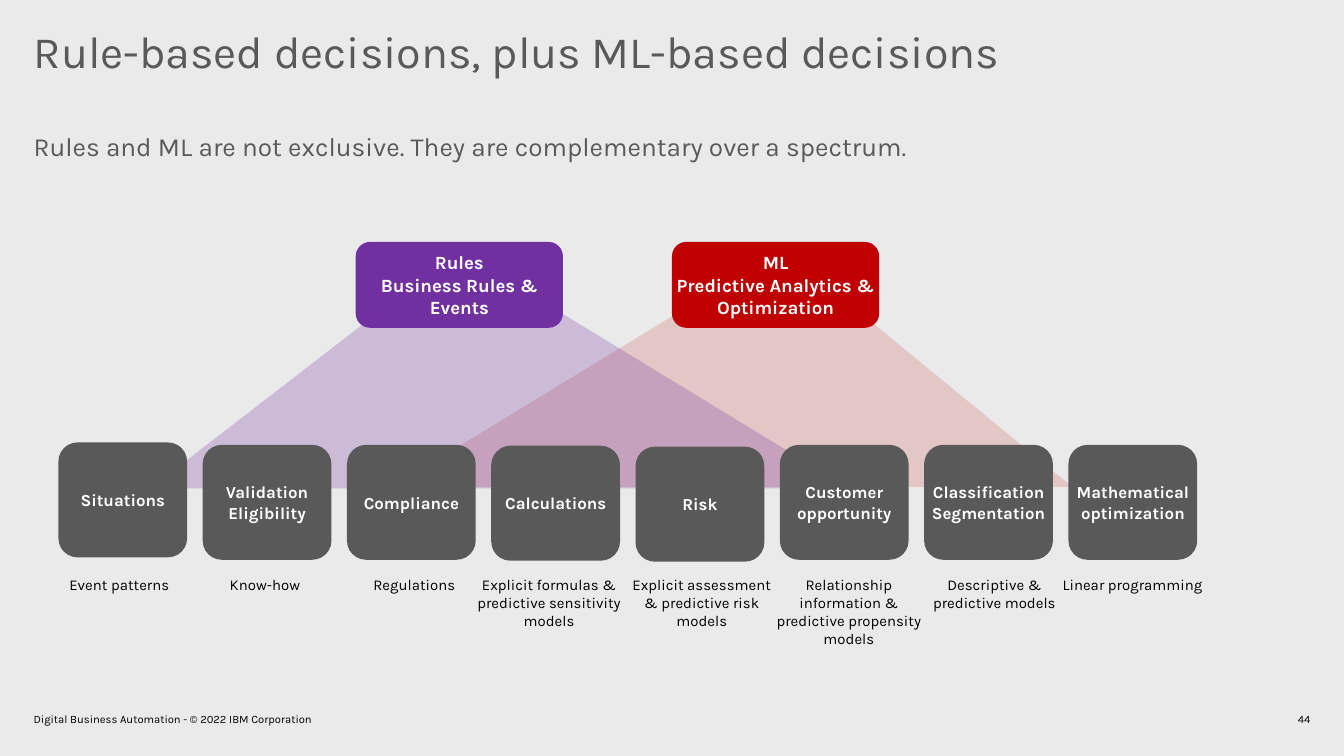
from lxml.etree import SubElement
from pptx import Presentation
from pptx.dml.color import RGBColor
from pptx.enum.shapes import MSO_SHAPE
from pptx.enum.text import MSO_ANCHOR, MSO_AUTO_SIZE, PP_ALIGN
from pptx.oxml.ns import qn
from pptx.util import Pt

COLORS = {
    "background": "EAEAEA",
    "gray": "595959",
    "purple": "7030A0",
    "red": "C00000",
    "white": "FFFFFF",
    "black": "000000",
}


def write_text(shape, text, size, color, align=PP_ALIGN.LEFT, anchor=MSO_ANCHOR.TOP, bold=False):
    text_frame = shape.text_frame
    text_frame.text = text
    text_frame.word_wrap = True
    text_frame.auto_size = MSO_AUTO_SIZE.NONE
    text_frame.vertical_anchor = anchor
    text_frame.margin_left = text_frame.margin_right = 0
    text_frame.margin_top = text_frame.margin_bottom = 0
    for paragraph in text_frame.paragraphs:
        paragraph.alignment = align
        for run in paragraph.runs:
            run.font.name = "Karla"
            run.font.size = Pt(size)
            run.font.bold = bold
            run.font.color.rgb = RGBColor.from_string(COLORS[color])


def add_filled_shape(kind, left, top, width, height, color):
    shape = slide.shapes.add_shape(kind, Pt(left), Pt(top), Pt(width), Pt(height))
    shape.shadow.inherit = False
    shape.fill.solid()
    shape.fill.fore_color.rgb = RGBColor.from_string(COLORS[color])
    shape.line.fill.background()
    return shape


presentation = Presentation()
presentation.slide_width = Pt(720)
presentation.slide_height = Pt(405)
slide = presentation.slides.add_slide(presentation.slide_layouts[5])
slide.background.fill.solid()
slide.background.fill.fore_color.rgb = RGBColor.from_string(COLORS["background"])

title = slide.shapes.title
title.left, title.top, title.width, title.height = Pt(18), Pt(16), Pt(684), Pt(30)
write_text(title, "Rule-based decisions, plus ML-based decisions", 24, "gray")
title.text_frame.paragraphs[0].line_spacing = 0.9

spectrum_triangles = [
    (210.2, 133.4, 364.3, 0.574, "red", 15),
    (80.6, 134.2, 374.4, 0.441, "purple", 25),
]
for left, top, width, apex, color, opacity in spectrum_triangles:
    triangle = add_filled_shape(MSO_SHAPE.ISOSCELES_TRIANGLE, left, top, width, 127.5, color)
    triangle.adjustments[0] = apex
    color_element = next(triangle.fill._xPr.iter(qn("a:srgbClr")))
    SubElement(color_element, qn("a:alpha"), val=str(opacity * 1000))

subtitle = "Rules and ML are not exclusive. They are complementary over a spectrum."
footer = "Digital Business Automation - © 2022 IBM Corporation"
plain_texts = [
    (subtitle, 18, 70, 684, 20, 14, "gray", PP_ALIGN.LEFT, MSO_ANCHOR.TOP),
    (footer, 18, 379.6, 504, 11, 6, "black", PP_ALIGN.LEFT, MSO_ANCHOR.MIDDLE),
    ("44", 540, 379.6, 162, 11, 6, "black", PP_ALIGN.RIGHT, MSO_ANCHOR.MIDDLE),
]
for text, left, top, width, height, size, color, align, anchor in plain_texts:
    text_box = slide.shapes.add_textbox(Pt(left), Pt(top), Pt(width), Pt(height))
    write_text(text_box, text, size, color, align, anchor)

approaches = [
    ("Rules\nBusiness Rules & Events", 190.6, "purple"),
    ("ML\nPredictive Analytics & Optimization", 360, "red"),
]
for text, left, color in approaches:
    approach = add_filled_shape(MSO_SHAPE.ROUNDED_RECTANGLE, left, 129.6, 111, 46, color)
    write_text(approach, text, 10, "white", PP_ALIGN.CENTER, MSO_ANCHOR.MIDDLE, bold=True)

decisions = [
    ("Situations", 237, "Event patterns", 64),
    ("Validation\nEligibility", 238.3, "Know-how", 142),
    ("Compliance", 238.3, "Regulations", 222),
    ("Calculations", 238.8, "Explicit formulas & predictive sensitivity models", 294.2),
    ("Risk", 239.3, "Explicit assessment & predictive risk models", 376),
    ("Customer opportunity", 238.3, "Relationship information & predictive propensity models", 454.8),
    ("Classification\nSegmentation", 238.3, "Descriptive & predictive models", 532.8),
    ("Mathematical optimization", 238.3, "Linear programming", 606.8),
]
caption_width = 78
for index, (name, top, caption, caption_center) in enumerate(decisions):
    left = 31.3 + 77.3 * index
    decision = add_filled_shape(MSO_SHAPE.ROUNDED_RECTANGLE, left, top, 69, 61.6, "gray")
    write_text(decision, name, 9, "white", PP_ALIGN.CENTER, MSO_ANCHOR.MIDDLE, bold=True)
    caption_left = caption_center - caption_width / 2
    caption_box = slide.shapes.add_textbox(Pt(caption_left), Pt(308.4), Pt(caption_width), Pt(40))
    write_text(caption_box, caption, 8, "black", PP_ALIGN.CENTER)

presentation.save("out.pptx")
